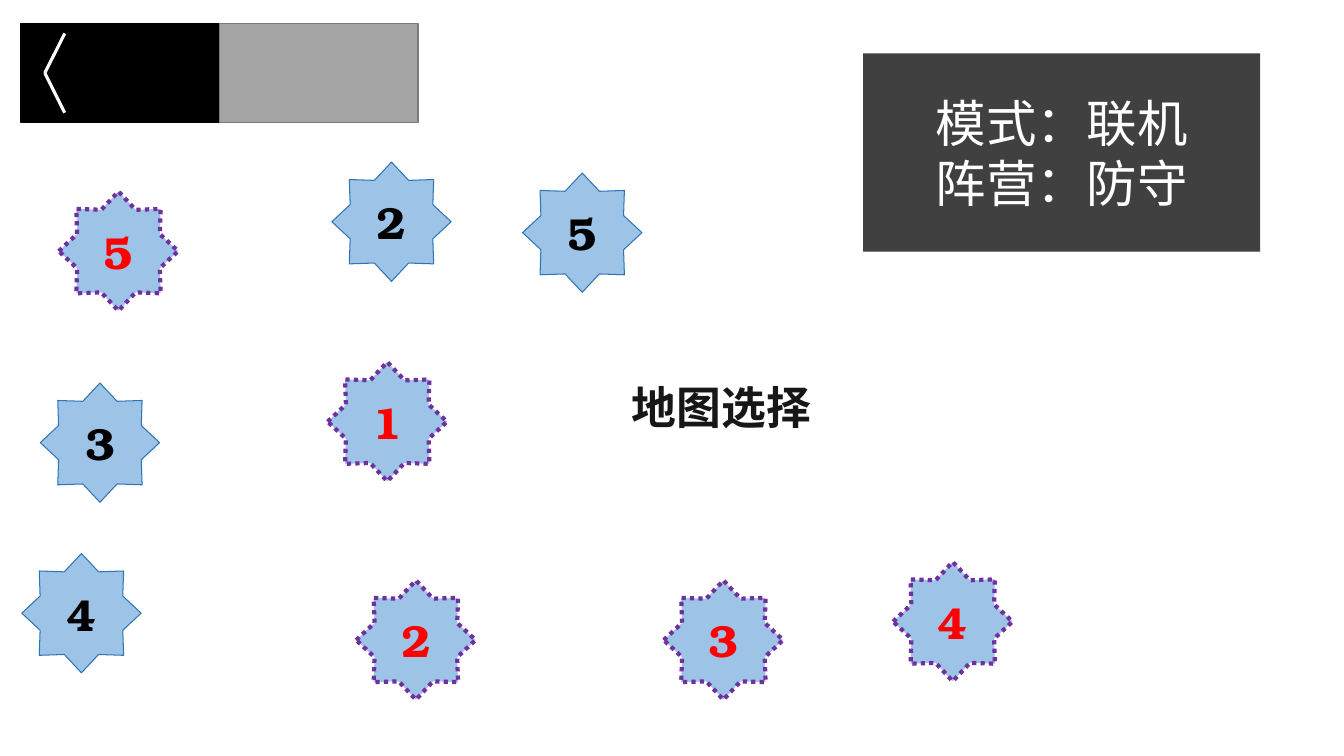
from dataclasses import dataclass

from lxml.etree import SubElement
from pptx import Presentation
from pptx.dml.color import RGBColor
from pptx.enum.dml import MSO_LINE
from pptx.enum.shapes import MSO_CONNECTOR, MSO_SHAPE
from pptx.enum.text import MSO_ANCHOR, MSO_AUTO_SIZE, PP_ALIGN
from pptx.oxml.ns import qn
from pptx.util import Inches, Pt


@dataclass(frozen=True)
class Theme:
    """Colours, fonts and type sizes of the slide."""

    black: str = "000000"
    white: str = "FFFFFF"
    grey: str = "A5A5A5"
    grey_edge: str = "7A7A7A"
    panel: str = "404040"
    title: str = "181717"
    star: str = "9DC3E6"
    star_edge: str = "2E75B6"
    marked_edge: str = "7030A0"
    marked_text: str = "FF0000"
    text_font: str = "Noto Sans CJK JP"
    number_font: str = "TeX Gyre Bonum"
    panel_size: int = 36
    label_size: int = 32


THEME = Theme()
ROWS = 45
CELL = Inches(7.5) / ROWS
STAR_SIDE = 7.1
MARKED_STARS = {
    "1": (19.5, 21.55),
    "2": (21.2, 34.55),
    "3": (39.5, 34.55),
    "4": (53.15, 33.45),
    "5": (3.5, 11.4),
}
PLAIN_STARS = {
    "2": (19.75, 9.65),
    "3": (2.4, 22.8),
    "4": (1.3, 32.95),
    "5": (31.1, 10.3),
}


def grid(*cells):
    """Turn grid columns and rows into slide lengths."""
    return [round(cell * CELL) for cell in cells]


def set_values(target, values):
    """Set each named attribute on the target."""
    for name, value in values.items():
        setattr(target, name, value)


def add_block(slide, kind, box, fill, edge=None, weight=1, dash=None):
    """Draw a filled preset shape in a grid box."""
    shape = slide.shapes.add_shape(kind, *grid(*box))
    shape.shadow.inherit = False
    shape.fill.solid()
    shape.fill.fore_color.rgb = RGBColor.from_string(fill)
    if edge is None:
        shape.line.fill.background()
    else:
        shape.line.color.rgb = RGBColor.from_string(edge)
        set_values(shape.line, {"width": Pt(weight), "dash_style": dash})
    return shape


def write_text(shape, lines, color, font, size, bold=False, align=PP_ALIGN.CENTER):
    """Write one paragraph for each line in a shape."""
    frame = shape.text_frame
    frame.text = "\n".join(lines)
    frame.vertical_anchor = MSO_ANCHOR.MIDDLE
    for paragraph in frame.paragraphs:
        paragraph.alignment = align
        for run in paragraph.runs:
            run.font.color.rgb = RGBColor.from_string(color)
            set_values(run.font, {"name": font, "size": Pt(size), "bold": bold})
            properties = run._r.get_or_add_rPr()
            SubElement(properties, qn("a:ea")).set("typeface", font)


def add_back_bar(slide, box):
    """Draw the black and grey halves and the back chevron."""
    left, top, width, height = box
    half = width / 2
    add_block(slide, MSO_SHAPE.RECTANGLE, (left, top, half, height),
              THEME.black, THEME.black)
    add_block(slide, MSO_SHAPE.RECTANGLE, (left + half, top, half, height),
              THEME.grey, THEME.grey_edge)
    tip = (left + 0.12 * half, top + 0.5 * height)
    for share in (0.1, 0.9):
        end = (left + 0.22 * half, top + share * height)
        stroke = slide.shapes.add_connector(MSO_CONNECTOR.STRAIGHT, *grid(*end, *tip))
        stroke.line.color.rgb = RGBColor.from_string(THEME.white)
        stroke.line.width = Pt(2.25)
        SubElement(stroke.element.spPr, qn("a:effectLst"))


def add_mode_panel(slide, box):
    """Draw the dark panel with the mode and side."""
    panel = add_block(slide, MSO_SHAPE.RECTANGLE, box, THEME.panel)
    write_text(panel, ["模式：联机", "阵营：防守"], THEME.white,
               THEME.text_font, THEME.panel_size)


def add_title(slide, box):
    """Write the map title."""
    title = slide.shapes.add_textbox(*grid(*box))
    write_text(title, ["地图选择"], THEME.title, THEME.text_font,
               THEME.label_size, True, PP_ALIGN.LEFT)
    set_values(title.text_frame, {
        "word_wrap": False,
        "auto_size": MSO_AUTO_SIZE.SHAPE_TO_FIT_TEXT,
        "vertical_anchor": MSO_ANCHOR.TOP,
    })


def add_stars(slide, stars, color, edge, weight, dash=None):
    """Draw numbered map stars at their grid places."""
    for number, place in stars.items():
        star = add_block(slide, MSO_SHAPE.STAR_8_POINT,
                         (*place, STAR_SIDE, STAR_SIDE), THEME.star, edge, weight, dash)
        write_text(star, [number], color, THEME.number_font, THEME.label_size, True)


def main():
    """Build and save the map selection slide."""
    presentation = Presentation()
    set_values(presentation, {"slide_width": Inches(13.33), "slide_height": Inches(7.5)})
    slide = presentation.slides.add_slide(presentation.slide_layouts[6])
    add_back_bar(slide, (1.25, 1.4, 23.64, 5.9))
    add_mode_panel(slide, (51.36, 3.18, 23.64, 11.8))
    add_title(slide, (37, 22.3, 12, 3.85))
    add_stars(slide, MARKED_STARS, THEME.marked_text, THEME.marked_edge, 3,
              MSO_LINE.ROUND_DOT)
    add_stars(slide, PLAIN_STARS, THEME.black, THEME.star_edge, 0.75)
    presentation.save("out.pptx")


if __name__ == "__main__":
    main()
